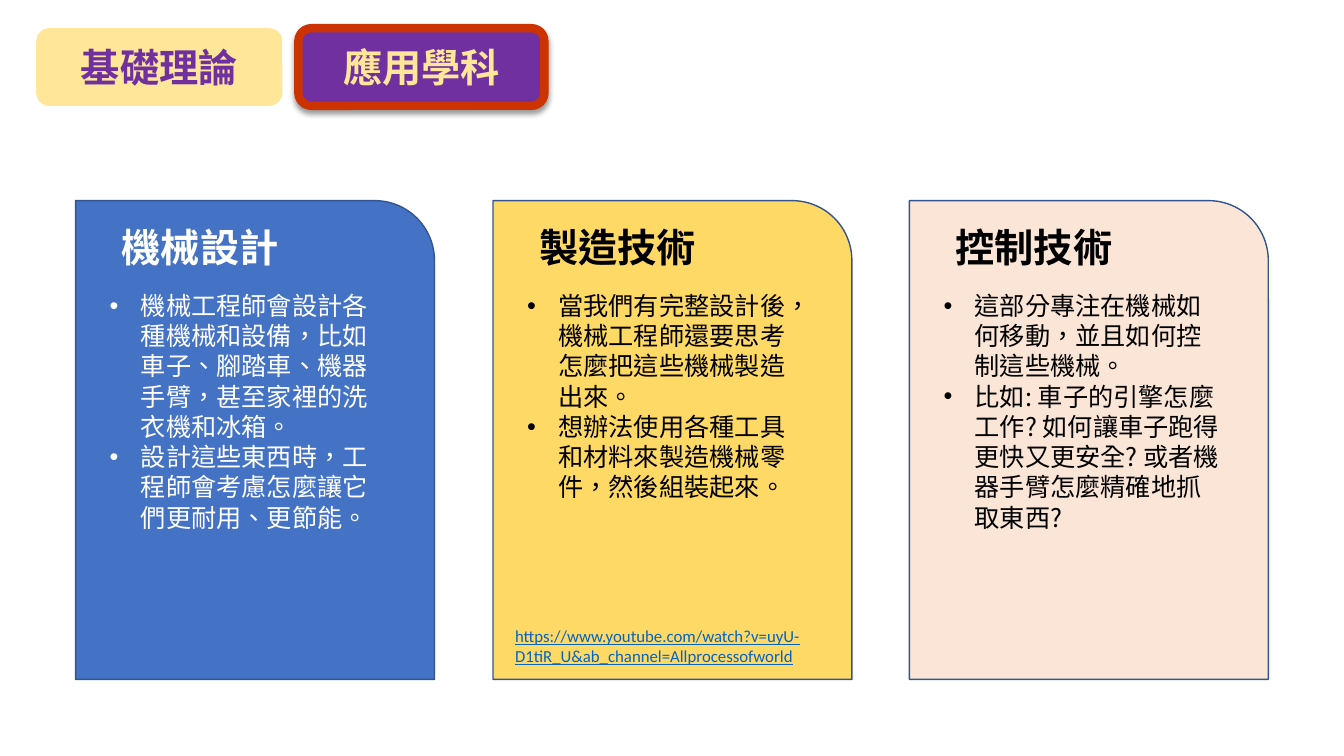
from lxml import etree
from pptx import Presentation, util as u
from pptx.dml.color import RGBColor
from pptx.enum import lang, shapes, text
from pptx.oxml import parse_xml
from pptx.oxml.ns import nsdecls, qn

PX = 9144  # 100 px to the inch
CJK = "Noto Sans CJK SC"
COLORS = dict(cream="FFE699", purple="7030A0", red="CC3300", blue="4472C4",
              outline="325491", gold="FFD966", peach="FBE5D6",
              white="FFFFFF", black="000000", link="0563C1")
KINDS = shapes.MSO_SHAPE


def rgb(name):
    return RGBColor.from_string(COLORS[name])


def add_box(parent, x, y, w, h, *lines, kind=None, fill=None, line=None, line_pt=1,
            size=18, color="black", font=CJK, bold=False, underline=False,
            align=None, anchor=text.MSO_ANCHOR.TOP, bullet=False):
    """Add a preset shape, or a text box if kind is None, with one paragraph per line."""
    at = [v * PX for v in (x, y, w, h)]
    if kind is None:
        sp = parent.add_textbox(*at)
    else:
        sp = parent.add_shape(kind, *at)
        sp.shadow.inherit = False
    if fill:
        sp.fill.solid()
        sp.fill.fore_color.rgb = rgb(fill)
    if line:
        sp.line.color.rgb = rgb(line)
        sp.line.width = u.Pt(line_pt)
    else:
        sp.line.fill.background()
    tf = sp.text_frame
    tf.word_wrap = True
    tf.vertical_anchor = anchor
    for i, words in enumerate(lines):
        p = tf.add_paragraph() if i else tf.paragraphs[0]
        p.alignment = align
        if font == CJK:
            p.line_spacing = u.Pt(size * 1.2)
        if bullet:
            pPr = p._p.get_or_add_pPr()
            pPr.set("marL", str(31 * PX))
            pPr.set("indent", str(-31 * PX))
            etree.SubElement(pPr, qn("a:buFont")).set("typeface", "Arial")
            etree.SubElement(pPr, qn("a:buChar")).set("char", "•")
        r = p.add_run()
        r.text = words
        r.font.size, r.font.name = u.Pt(size), font
        r.font.bold, r.font.underline = bold, underline
        r.font.color.rgb = rgb(color)
        if font == CJK:
            r.font.language_id = lang.MSO_LANGUAGE_ID.TRADITIONAL_CHINESE
            etree.SubElement(r._r.get_or_add_rPr(), qn("a:ea")).set("typeface", CJK)
    return sp


prs = Presentation()
prs.slide_width, prs.slide_height = 1333 * PX, 750 * PX
slide = prs.slides.add_slide(prs.slide_layouts[6])

# Tabs
tab = dict(kind=KINDS.ROUNDED_RECTANGLE, size=28, bold=True,
           align=text.PP_ALIGN.CENTER, anchor=text.MSO_ANCHOR.MIDDLE)
add_box(slide.shapes, 36, 28, 244, 77, "基礎理論", fill="cream", color="purple", **tab)
active = add_box(slide.shapes, 296, 28, 244, 77, "應用學科", fill="purple", color="cream",
                 line="red", line_pt=6, **tab)
effects = active._element.spPr.find(qn("a:effectLst"))
effects.append(parse_xml(
    f'<a:outerShdw {nsdecls("a")} blurRad="{u.Pt(4)}" dist="{u.Pt(3)}" dir="5400000" '
    'algn="t" rotWithShape="0"><a:srgbClr val="000000"><a:alpha val="40000"/>'
    '</a:srgbClr></a:outerShdw>'))

# Cards
cards = [
    ("機械設計", "blue", "white", 283,
     ["機械工程師會設計各種機械和設備，比如車子、腳踏車、機器手臂，甚至家裡的洗衣機和冰箱。",
      "設計這些東西時，工程師會考慮怎麼讓它們更耐用、更節能。"]),
    ("製造技術", "gold", "black", 222,
     ["當我們有完整設計後，機械工程師還要思考怎麼把這些機械製造出來。",
      "想辦法使用各種工具和材料來製造機械零件，然後組裝起來。"]),
    ("控制技術", "peach", "black", 252,
     ["這部分專注在機械如何移動，並且如何控制這些機械。",
      "比如: 車子的引擎怎麼工作? 如何讓車子跑得更快又更安全? 或者機器手臂怎麼精確地抓取東西?"]),
]
for i, (title, fill, color, body_h, points) in enumerate(cards):
    x = 75 + round(i * 413.5)
    card = slide.shapes.add_group_shape().shapes
    add_box(card, x, 199, 356, 475, kind=KINDS.ROUND_1_RECTANGLE, fill=fill, line="outline")
    add_box(card, x + 36, 217, 224, 57, title, size=28, bold=True, color=color)
    add_box(card, x + 24, 283, 300, body_h, *points, color=color, bullet=True)

add_box(slide.shapes, 501, 616, 331, 50,
        "https://www.youtube.com/watch?v=uyU-D1tiR_U&ab_channel=Allprocessofworld",
        size=12, font="Calibri", color="link", underline=True)

prs.save("out.pptx")
